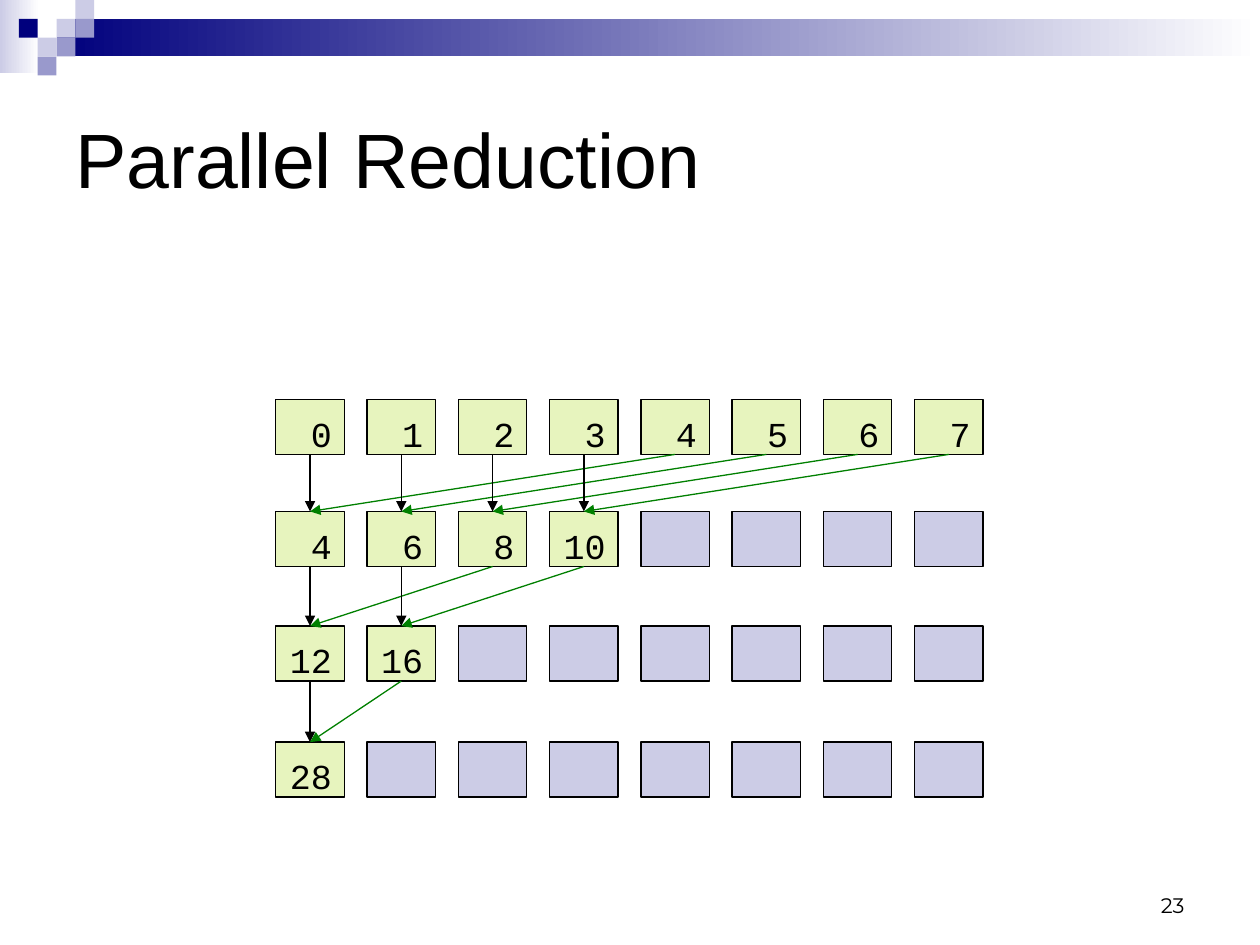
import pptx
import pptx.util
import pptx.dml.color
import pptx.enum.shapes
import pptx.enum.text
import pptx.oxml.ns
import lxml.etree
from dataclasses import dataclass

Cm, Pt = pptx.util.Cm, pptx.util.Pt
RGB = pptx.dml.color.RGBColor.from_string
ALIGN, ANCHOR = pptx.enum.text.PP_ALIGN, pptx.enum.text.MSO_ANCHOR
RECT = pptx.enum.shapes.MSO_SHAPE.RECTANGLE
STRAIGHT = pptx.enum.shapes.MSO_CONNECTOR.STRAIGHT


@dataclass(frozen=True)
class Theme:
    ink: str = "000000"
    paper: str = "FFFFFF"
    navy: str = "00007D"
    lilac: str = "CCCCE6"
    violet: str = "9999CC"
    active: str = "E7F4BE"
    partner: str = "008000"
    title: int = 44
    value: int = 20
    number: int = 12
    line: float = 0.75


theme = Theme()


def write(shape, text, font, size, align, frame_format):
    for name, value in frame_format.items():
        setattr(shape.text_frame, name, value)
    paragraph = shape.text_frame.paragraphs[0]
    paragraph.alignment = align
    run = paragraph.add_run()
    run.text = text
    for name, value in {"name": font, "size": Pt(size)}.items():
        setattr(run.font, name, value)
    run.font.color.rgb = RGB(theme.ink)


def draw_arrow(x1, y1, x2, y2, color):
    arrow = slide.shapes.add_connector(STRAIGHT, Cm(x1), Cm(y1), Cm(x2), Cm(y2))
    arrow.line.color.rgb = RGB(color)
    arrow.line.width = Pt(theme.line)
    qn = pptx.oxml.ns.qn
    lxml.etree.SubElement(arrow.line._get_or_add_ln(), qn("a:tailEnd"), type="triangle")
    lxml.etree.SubElement(arrow._element.spPr, qn("a:effectLst"))


deck = pptx.Presentation()
deck.slide_width, deck.slide_height = Cm(25.4), Cm(19.05)
slide = deck.slides.add_slide(deck.slide_layouts[6])

# Header: fading bars, then the mosaic of small squares
square = 0.38
bars = [(0, 0, 0.79, 1.47, theme.lilac), (1.14, square, 24.26, 0.76, theme.navy)]
for left, top, width, height, color in bars:
    bar = slide.shapes.add_shape(RECT, Cm(left), Cm(top), Cm(width), Cm(height))
    bar.shadow.inherit = False
    bar.line.fill.background()
    bar.fill.gradient()
    bar.fill.gradient_angle = 0
    for stop, stop_color in zip(bar.fill.gradient_stops, (color, theme.paper)):
        stop.color.rgb = RGB(stop_color)

mosaic = [
    (3, 1, theme.lilac), (4, 0, theme.lilac), (4, 1, theme.violet), (2, 2, theme.lilac),
    (1, 1, theme.navy), (3, 2, theme.violet), (2, 3, theme.violet),
]
for column, row, color in mosaic:
    tile = slide.shapes.add_shape(
        RECT, Cm(column * square), Cm(row * square), Cm(square), Cm(square))
    tile.shadow.inherit = False
    tile.line.fill.background()
    tile.fill.solid()
    tile.fill.fore_color.rgb = RGB(color)

# Title
title = slide.shapes.add_textbox(Cm(1.27), Cm(1.27), Cm(22.86), Cm(3.81))
write(title, "Parallel Reduction", "Arial", theme.title, ALIGN.LEFT,
      {"word_wrap": True, "vertical_anchor": ANCHOR.MIDDLE})

# Reduction levels: each one adds the second half of the values to the first
first_left, pitch, cell_width, cell_height = 5.56, 1.84, 1.38, 1.11
level_tops = [8.05, 10.31, 12.62, 14.96]
cell_format = {
    "word_wrap": False, "vertical_anchor": ANCHOR.TOP, "margin_top": Cm(0.26),
    "margin_bottom": Cm(0), "margin_left": Cm(0.25), "margin_right": Cm(0.25),
}
threads = 8
centers = [first_left + pitch * i + cell_width / 2 for i in range(threads)]
values = list(range(threads))
for top in level_tops:
    for i in range(threads):
        is_active = i < len(values)
        cell = slide.shapes.add_shape(
            RECT, Cm(first_left + pitch * i), Cm(top), Cm(cell_width), Cm(cell_height))
        cell.shadow.inherit = False
        cell.fill.solid()
        cell.fill.fore_color.rgb = RGB(theme.active if is_active else theme.lilac)
        cell.line.color.rgb = RGB(theme.ink)
        cell.line.width = Pt(theme.line)
        if is_active:
            write(cell, str(values[i]), "Courier New", theme.value, ALIGN.RIGHT, cell_format)
    half = len(values) // 2
    values = [values[i] + values[i + half] for i in range(half)]

# Arrows: own value straight down, partner value from the second half
active = threads
for top, next_top in zip(level_tops, level_tops[1:]):
    active //= 2
    for i in range(active):
        for source, color in ((i, theme.ink), (i + active, theme.partner)):
            draw_arrow(centers[source], top + cell_height, centers[i], next_top, color)

# Slide number
number = slide.shapes.add_textbox(Cm(18.2), Cm(17.35), Cm(5.93), Cm(1.27))
write(number, "23", "Montserrat", theme.number, ALIGN.RIGHT,
      {"word_wrap": True, "vertical_anchor": ANCHOR.BOTTOM})

deck.save("out.pptx")
